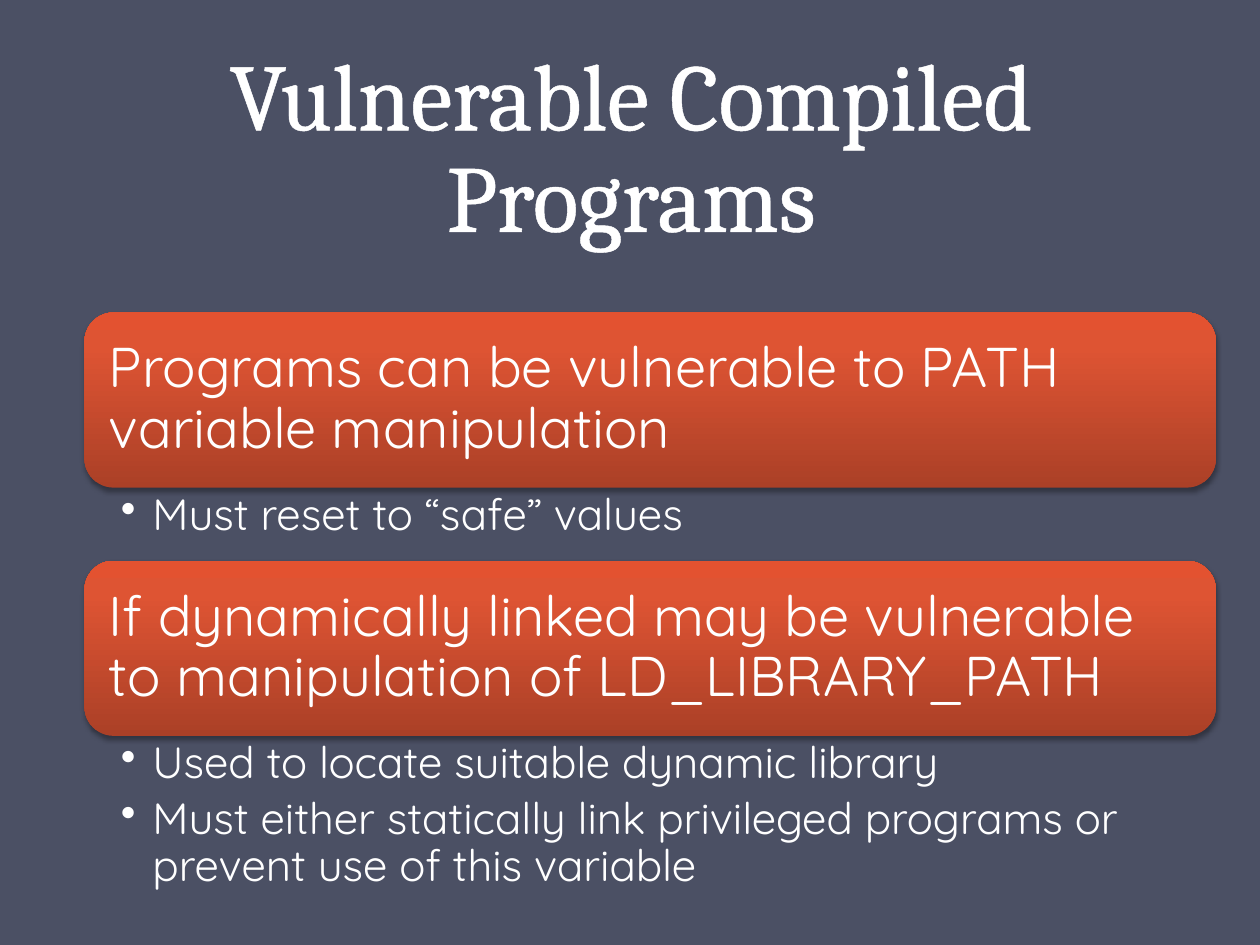
import pptx
import pptx.dml.color
import pptx.enum.shapes
import pptx.enum.text
import pptx.oxml
import pptx.oxml.ns
import pptx.util
from lxml import etree

Inches = pptx.util.Inches
Pt = pptx.util.Pt
qn = pptx.oxml.ns.qn
ALIGN = pptx.enum.text.PP_ALIGN
ANCHOR = pptx.enum.text.MSO_ANCHOR

COLORS = {
    "background": "4B5064",
    "text": "FFFFFF",
    "card_bottom": "AB4027",
    "card_middle": "DE5433",
    "card_top": "E35230",
    "shadow": "000000",
}
CARD_STOPS = [(0, "card_bottom"), (80, "card_middle"), (100, "card_top")]

LEFT, WIDTH = 0.67, 8.98
CARD_HEIGHT, CARD_TOP, CARD_PADDING = 1.39, 2.48, 0.065
SECTIONS = [
    ("Programs can be vulnerable to PATH variable manipulation",
     ["Must reset to “safe” values"], 0.58),
    ("If dynamically linked may be vulnerable to manipulation of LD_LIBRARY_PATH",
     ["Used to locate suitable dynamic library",
      "Must either statically link privileged programs or prevent use of this variable"],
     1.34),
]


def rgb(name):
    return pptx.dml.color.RGBColor.from_string(COLORS[name])


def add_color(parent, name):
    return etree.SubElement(parent, qn("a:srgbClr"), val=COLORS[name])


def add_text(slide, box, lines, size, font="Quicksand", align=ALIGN.LEFT,
             anchor=ANCHOR.TOP, insets=(0.1, 0.05, 0.1, 0.05),
             line_spacing=0.9, space_after=0, bullet=False, outline=None):
    """Add a text box with one paragraph for each line."""
    shape = slide.shapes.add_textbox(*map(Inches, box))
    frame = shape.text_frame
    frame.word_wrap = True
    frame.vertical_anchor = anchor
    (frame.margin_left, frame.margin_top,
     frame.margin_right, frame.margin_bottom) = map(Inches, insets)
    for index, line in enumerate(lines):
        paragraph = frame.add_paragraph() if index else frame.paragraphs[0]
        paragraph.alignment = align
        paragraph.line_spacing = line_spacing
        paragraph.space_after = Pt(space_after)
        run = paragraph.add_run()
        run.text = line
        run.font.size = Pt(size)
        run.font.name = font
        run.font.color.rgb = rgb("text")
        if bullet:
            add_bullet(paragraph)
        if outline:
            add_outline(run, outline)
    return shape


def add_bullet(paragraph):
    paragraph.level = 1
    properties = paragraph._p.get_or_add_pPr()
    properties.set("marL", str(Inches(0.25)))
    properties.set("indent", str(Inches(-0.25)))
    etree.SubElement(properties, qn("a:buChar"), char="•")


def add_outline(run, width):
    line = etree.Element(qn("a:ln"), w=str(Pt(width)))
    add_color(etree.SubElement(line, qn("a:solidFill")), "text")
    run._r.get_or_add_rPr().insert(0, line)


def fill_gradient(shape, stops):
    shape.fill.gradient()
    shape.fill.gradient_angle = 90
    stop_list = shape._element.spPr.find(".//" + qn("a:gsLst"))
    for stop in list(stop_list):
        stop_list.remove(stop)
    for percent, name in stops:
        add_color(etree.SubElement(stop_list, qn("a:gs"), pos=str(percent * 1000)), name)


def add_shadow(shape):
    shape.shadow.inherit = False
    effects = shape._element.spPr.find(qn("a:effectLst"))
    shadow = etree.SubElement(effects, qn("a:outerShdw"), blurRad=str(Pt(3.1)),
                              dist=str(Pt(1.8)), dir="5400000", rotWithShape="0")
    etree.SubElement(add_color(shadow, "shadow"), qn("a:alpha"), val="35000")


def add_title(slide, box):
    add_text(slide, box, ["Vulnerable Compiled Programs"], 54, font="Cambria",
             align=ALIGN.CENTER, anchor=ANCHOR.BOTTOM, line_spacing=Pt(58),
             outline=1.45)


def add_card(slide, box, heading):
    left, top, width, height = box
    card = slide.shapes.add_shape(
        pptx.enum.shapes.MSO_SHAPE.ROUNDED_RECTANGLE, *map(Inches, box))
    fill_gradient(card, CARD_STOPS)
    card.line.fill.background()
    add_shadow(card)
    inner = (left + CARD_PADDING, top + CARD_PADDING,
             width - 2 * CARD_PADDING, height - 2 * CARD_PADDING)
    add_text(slide, inner, [heading], 32, anchor=ANCHOR.MIDDLE,
             insets=(0.13,) * 4, space_after=11)


def add_details(slide, box, lines):
    add_text(slide, box, lines, 25, insets=(0.29, 0.04, 0.25, 0.04),
             space_after=5, bullet=True)


def add_sections(slide, left, top, width):
    """Stack each heading card directly above its bullets."""
    for heading, details, details_height in SECTIONS:
        add_card(slide, (left, top, width, CARD_HEIGHT), heading)
        top += CARD_HEIGHT
        add_details(slide, (left, top, width, details_height), details)
        top += details_height


def main():
    presentation = pptx.Presentation()
    presentation.slide_width = Inches(10)
    presentation.slide_height = Inches(7.5)
    slide = presentation.slides.add_slide(presentation.slide_layouts[6])
    slide.background.fill.solid()
    slide.background.fill.fore_color.rgb = rgb("background")
    add_title(slide, (0.51, 0.29, 9, 1.75))
    add_sections(slide, LEFT, CARD_TOP, WIDTH)
    presentation.save("out.pptx")


if __name__ == "__main__":
    main()
